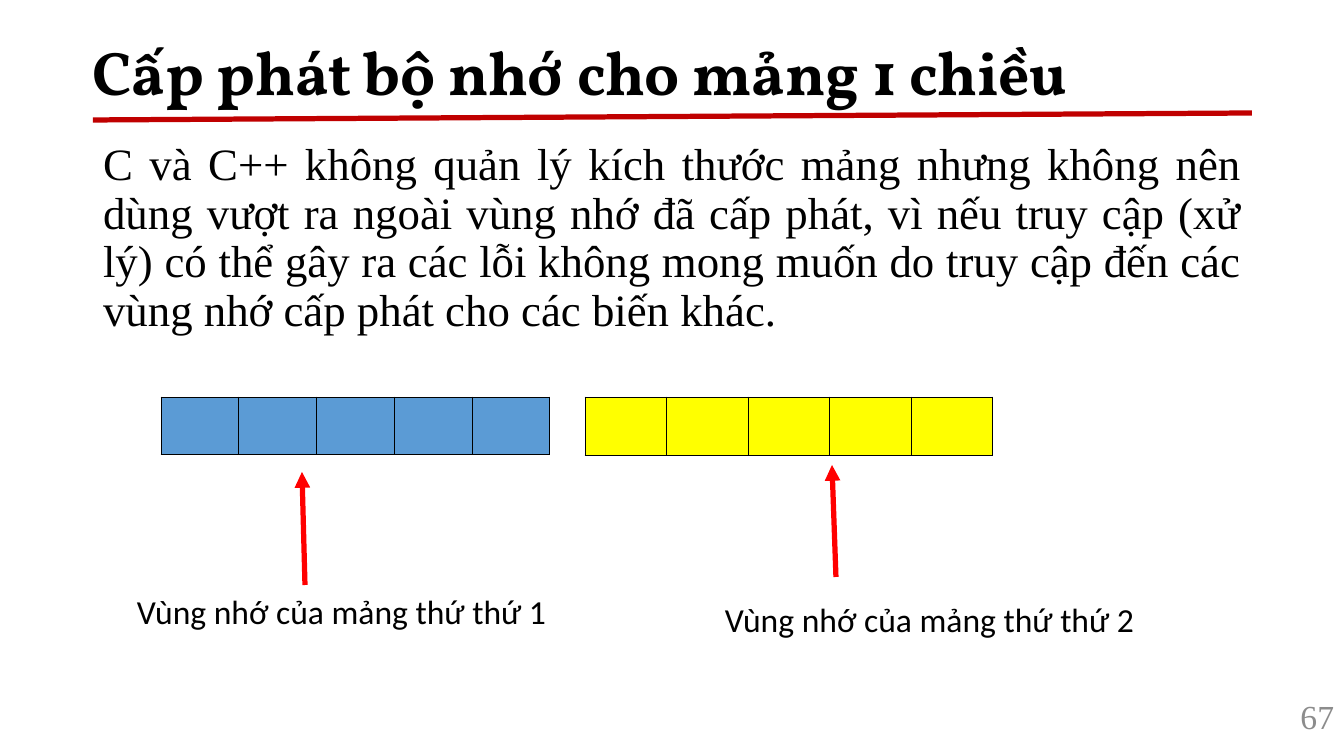
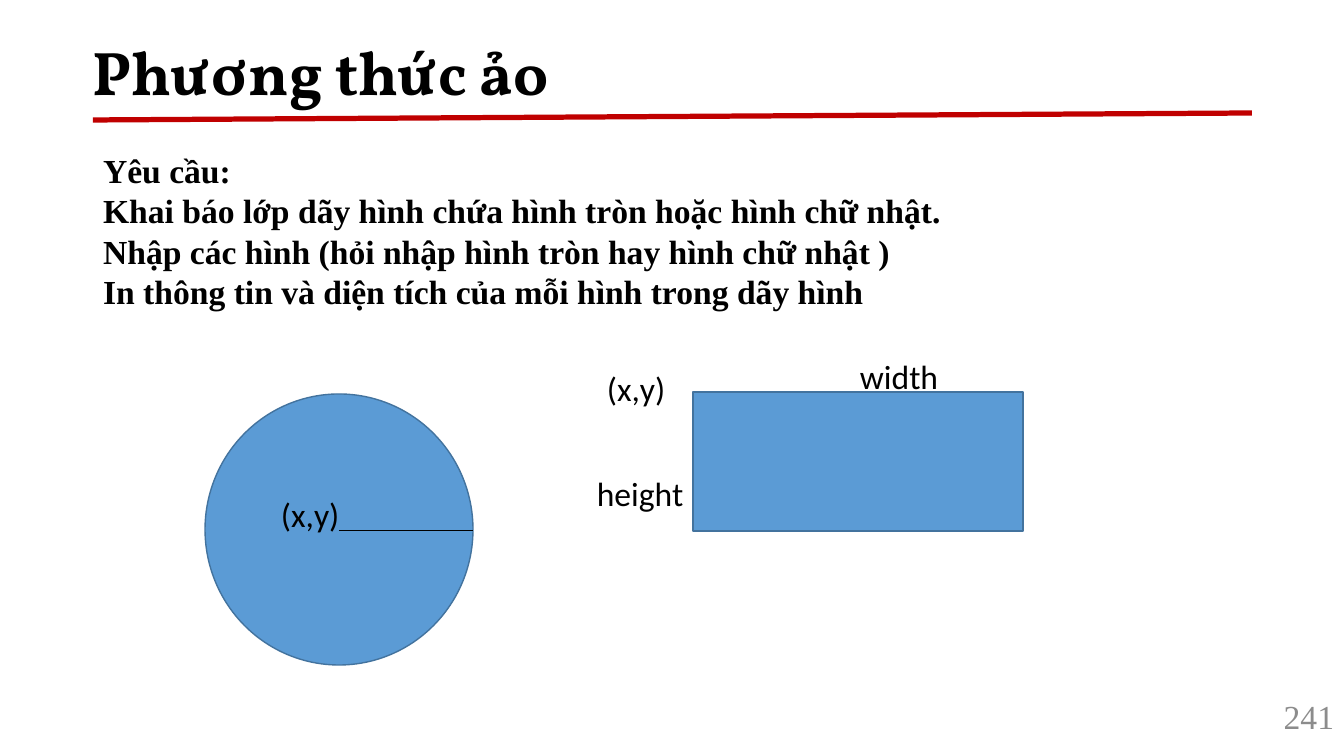
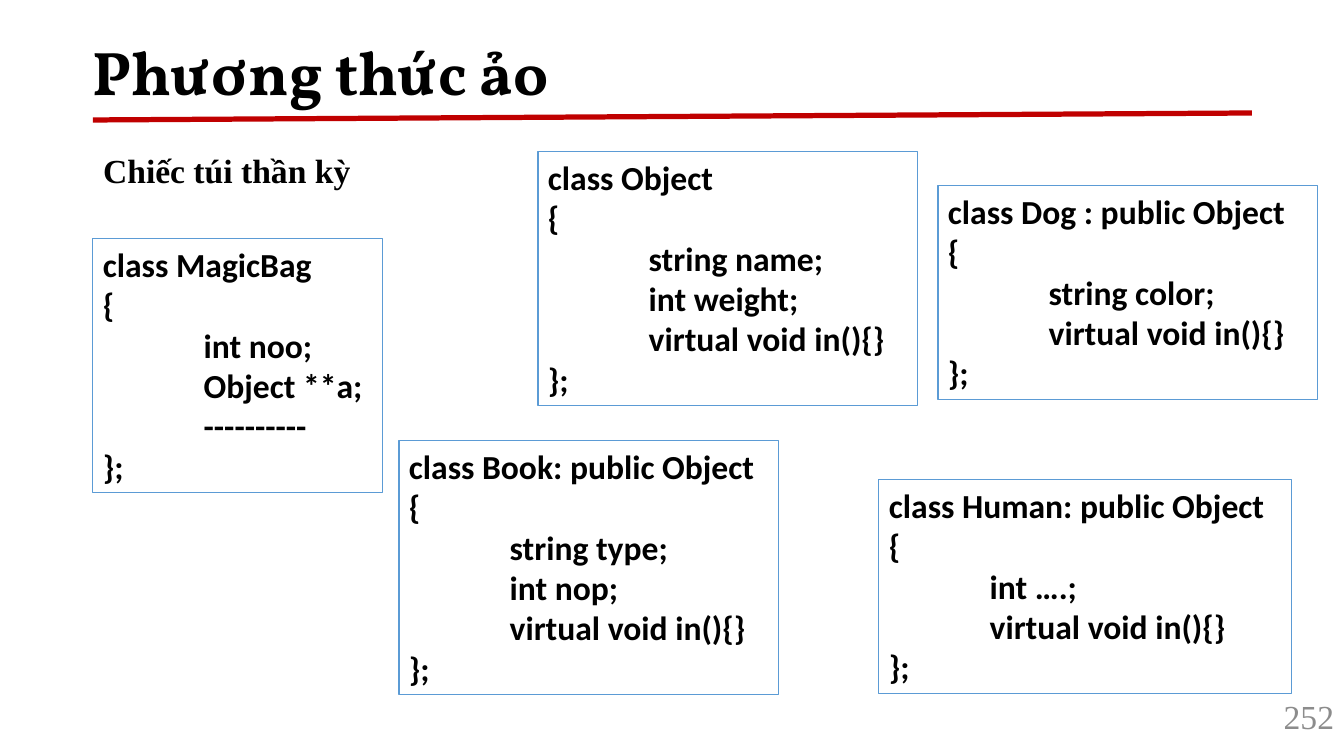
from lxml import etree
from pptx import Presentation
from pptx import util as u
from pptx.dml.color import RGBColor
from pptx.enum import shapes, text
from pptx.oxml.ns import qn

PX = 914400 / 100.8
BLACK = RGBColor(0x00, 0x00, 0x00)
WHITE = RGBColor(0xFF, 0xFF, 0xFF)
GREY = RGBColor(0x8C, 0x8C, 0x8C)
DARK_RED = RGBColor(0xC0, 0x00, 0x00)
RED = RGBColor(0xFF, 0x00, 0x00)
BLUE = RGBColor(0x5B, 0x9B, 0xD5)
DARK_BLUE = RGBColor(0x43, 0x73, 0x9E)
YELLOW = RGBColor(0xFF, 0xFF, 0x00)
SERIF = "Times New Roman"
SANS = "Calibri"


def px(*lengths):
    return [u.Emu(round(length * PX)) for length in lengths]


def write(frame, lines, font=SANS, size=24, color=BLACK, bold=False):
    """Fill a text frame with one paragraph per line."""
    frame.word_wrap = True
    for i, line in enumerate(lines):
        paragraph = frame.add_paragraph() if i else frame.paragraphs[0]
        run = paragraph.add_run()
        run.text = line
        run.font.name = font
        run.font.size = u.Pt(size)
        run.font.color.rgb = color
        run.font.bold = bold


prs = Presentation()
prs.slide_width, prs.slide_height = px(1344, 756)
layout = prs.slide_layouts[1]

# Title, page number, and body of each slide
contents = [
    ("Cấp phát bộ nhớ cho mảng 1 chiều", 67, 32, False, (93, 137, 1159, 599), [
        "C và C++ không quản lý kích thước mảng nhưng không nên dùng vượt ra "
        "ngoài vùng nhớ đã cấp phát, vì nếu truy cập (xử lý) có thể gây ra các "
        "lỗi không mong muốn do truy cập đến các vùng nhớ cấp phát cho các biến khác."]),
    ("Phương thức ảo", 241, 24, True, (93, 145, 1227, 480), [
        "Yêu cầu:",
        "Khai báo lớp dãy hình chứa hình tròn hoặc hình chữ nhật.",
        "Nhập các hình (hỏi nhập hình tròn hay hình chữ nhật )",
        "In thông tin và diện tích của mỗi hình trong dãy hình"]),
    ("Phương thức ảo", 252, 24, True, (93, 145, 1227, 480), ["Chiếc túi thần kỳ"]),
]
for heading, number, size, bold, place, lines in contents:
    slide = prs.slides.add_slide(layout)
    title, body = slide.placeholders
    title.left, title.top, title.width, title.height = px(82, 31, 1159, 89)
    write(title.text_frame, [heading], "Vollkorn", 44, bold=True)
    title.text_frame.vertical_anchor = text.MSO_ANCHOR.MIDDLE
    title.text_frame.paragraphs[0].alignment = text.PP_ALIGN.LEFT
    title.text_frame.paragraphs[0].line_spacing = 0.9

    body.left, body.top, body.width, body.height = px(*place)
    write(body.text_frame, lines, SERIF, size, bold=bold)
    for paragraph in body.text_frame.paragraphs:
        properties = paragraph._p.get_or_add_pPr()
        properties.set("marL", "0")
        properties.set("indent", "0")
        etree.SubElement(properties, qn("a:buNone"))
        paragraph.space_before = u.Pt(0)
    for frame in (title.text_frame, body.text_frame):
        frame.auto_size = text.MSO_AUTO_SIZE.NONE

    page = slide.shapes.add_textbox(*px(1264, 696, 80, 40)).text_frame
    write(page, [str(number)], SERIF, color=GREY)
    page.vertical_anchor = text.MSO_ANCHOR.MIDDLE
    page.paragraphs[0].alignment = text.PP_ALIGN.RIGHT

memory, figures, classes = prs.slides

warning = memory.placeholders[1].text_frame.paragraphs[0]
warning.alignment = text.PP_ALIGN.JUSTIFY
warning.line_spacing = 0.9

# Memory cells of the two arrays
for left, width, height, color in [(161, 389, 57, BLUE), (585, 408, 58, YELLOW)]:
    cells = memory.shapes.add_table(1, 5, *px(left, 397, width, height)).table
    for cell in cells.iter_cells():
        cell.fill.solid()
        cell.fill.fore_color.rgb = color
        properties = cell._tc.get_or_add_tcPr()
        for i, side in enumerate(("a:lnL", "a:lnR", "a:lnT", "a:lnB")):
            border = etree.Element(qn(side), w=str(u.Pt(0.75)))
            fill = etree.SubElement(border, qn("a:solidFill"))
            etree.SubElement(fill, qn("a:srgbClr"), val=str(BLACK))
            properties.insert(i, border)

# Circle and rectangle
for kind, place in [(shapes.MSO_SHAPE.RECTANGLE, (693, 392, 330, 139)),
                    (shapes.MSO_SHAPE.OVAL, (205, 394, 268, 271))]:
    figure = figures.shapes.add_shape(kind, *px(*place))
    figure.shadow.inherit = False
    figure.fill.solid()
    figure.fill.fore_color.rgb = BLUE
    figure.line.color.rgb = DARK_BLUE
    figure.line.width = u.Pt(1)

# Labels
for slide, label, left, top, width in [
        (memory, "Vùng nhớ của mảng thứ thứ 1", 127, 586, 458),
        (memory, "Vùng nhớ của mảng thứ thứ 2", 715, 594, 456),
        (figures, "(x,y)", 597, 363, 97),
        (figures, "width", 850, 351, 111),
        (figures, "height", 587, 468, 137),
        (figures, "(x,y)", 271, 489, 106)]:
    frame = slide.shapes.add_textbox(*px(left, top, width, 50)).text_frame
    write(frame, [label])
    frame.auto_size = text.MSO_AUTO_SIZE.SHAPE_TO_FIT_TEXT

# Title rule, arrows to the arrays, radius of the circle
for slide, ends, color, weight, has_head in [
        (memory, (93, 120, 1252, 113), DARK_RED, 3.75, False),
        (memory, (305, 585, 302, 472), RED, 3.75, True),
        (memory, (836, 577, 832, 465), RED, 3.75, True),
        (figures, (339, 530, 473, 530), BLACK, 0.5, False)]:
    line = slide.shapes.add_connector(shapes.MSO_CONNECTOR.STRAIGHT, *px(*ends))
    line.line.color.rgb = color
    line.line.width = u.Pt(weight)
    if has_head:
        etree.SubElement(line.line._get_or_add_ln(), qn("a:tailEnd"), type="triangle")
    etree.SubElement(line.element.spPr, qn("a:effectLst"))
    if color == DARK_RED:
        layout.shapes.element.append(line.element)  # shared by every slide

# Class declarations
for name, members, filled, place in [
        ("class MagicBag", ["int noo;", "Object **a;", "----------"],
         False, (93, 239, 290, 254)),
        ("class Object", ["string name;", "int weight;", "virtual void in(){}"],
         False, (538, 152, 380, 254)),
        ("class Book: public Object", ["string type;", "int nop;", "virtual void in(){}"],
         True, (399, 441, 380, 254)),
        ("class Dog : public Object", ["string color;", "virtual void in(){}"],
         True, (938, 186, 380, 214)),
        ("class Human: public Object", ["int ….;", "virtual void in(){}"],
         True, (879, 480, 413, 214))]:
    declaration = classes.shapes.add_textbox(*px(*place))
    declaration.line.color.rgb = BLUE
    declaration.line.width = u.Pt(0.75)
    if filled:
        declaration.fill.solid()
        declaration.fill.fore_color.rgb = WHITE
    code = [name, "{", *("\t" + member for member in members), "};"]
    write(declaration.text_frame, code, bold=True)
    for paragraph in declaration.text_frame.paragraphs:
        stops = etree.SubElement(paragraph._p.get_or_add_pPr(), qn("a:tabLst"))
        etree.SubElement(stops, qn("a:tab"), pos=str(u.Inches(1)), algn="l")
    declaration.text_frame.auto_size = text.MSO_AUTO_SIZE.SHAPE_TO_FIT_TEXT

prs.save("out.pptx")
